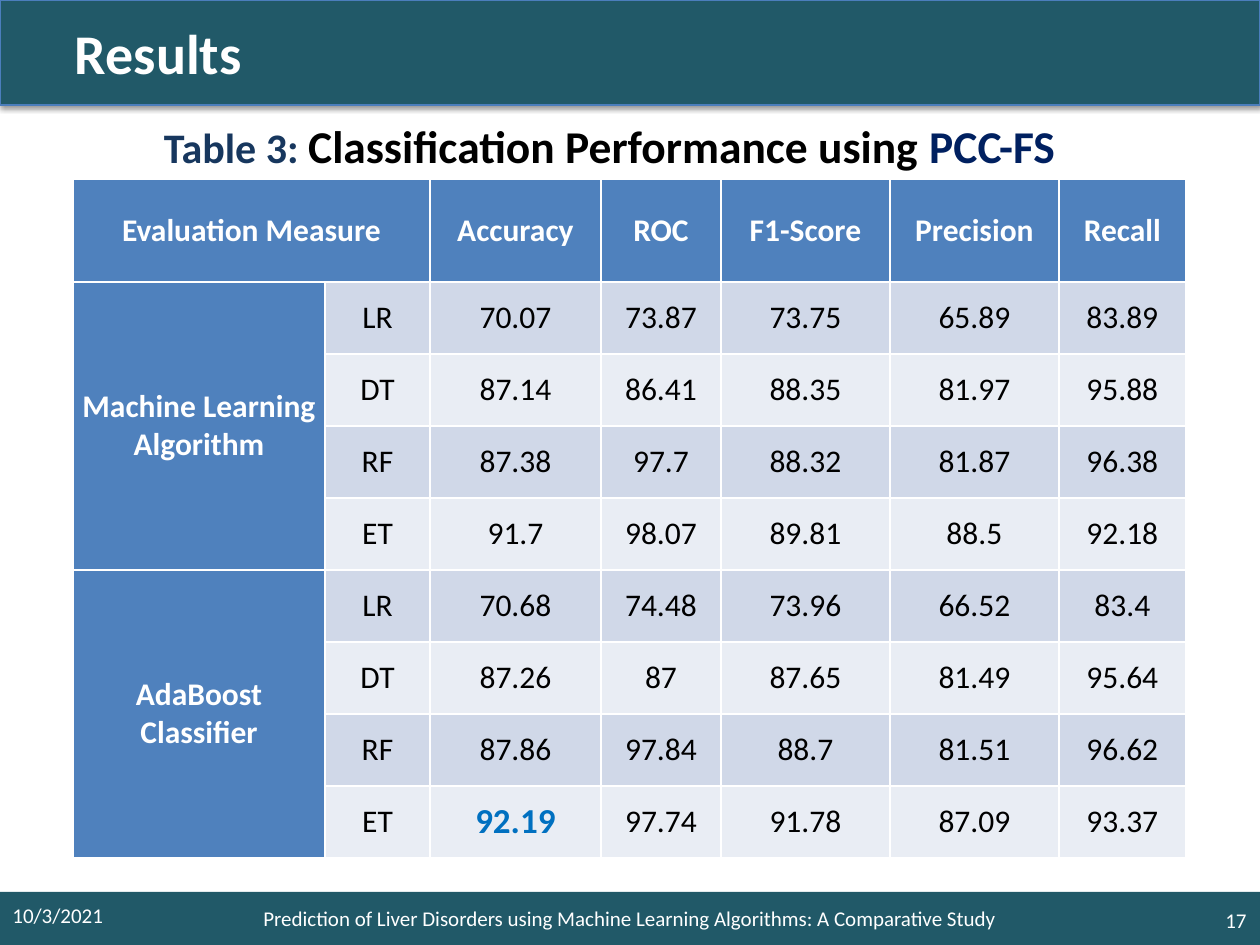
from lxml import etree
from pptx import Presentation, util as u
from pptx.dml.color import RGBColor
from pptx.enum import shapes, text
from pptx.oxml import ns

TEAL = RGBColor(0x21, 0x59, 0x68)
EDGE = RGBColor(0x4B, 0x7E, 0xBC)
BLUE = RGBColor(0x4F, 0x81, 0xBD)
BAND = RGBColor(0xD0, 0xD8, 0xE8)
PALE = RGBColor(0xE9, 0xED, 0xF4)
NAVY = RGBColor(0x17, 0x37, 0x5E)
DEEP = RGBColor(0x00, 0x20, 0x60)
BEST = RGBColor(0x00, 0x70, 0xC0)
WHITE = RGBColor(0xFF, 0xFF, 0xFF)
BLACK = RGBColor(0, 0, 0)

LEFT, CENTER, RIGHT = text.PP_ALIGN.LEFT, text.PP_ALIGN.CENTER, text.PP_ALIGN.RIGHT

HEADS = ["Accuracy", "ROC", "F1-Score", "Precision", "Recall"]
GROUPS = [
    ("Machine Learning Algorithm", [
        ("LR", "70.07", "73.87", "73.75", "65.89", "83.89"),
        ("DT", "87.14", "86.41", "88.35", "81.97", "95.88"),
        ("RF", "87.38", "97.7", "88.32", "81.87", "96.38"),
        ("ET", "91.7", "98.07", "89.81", "88.5", "92.18")]),
    ("AdaBoost Classifier", [
        ("LR", "70.68", "74.48", "73.96", "66.52", "83.4"),
        ("DT", "87.26", "87", "87.65", "81.49", "95.64"),
        ("RF", "87.86", "97.84", "88.7", "81.51", "96.62"),
        ("ET", "92.19", "97.74", "91.78", "87.09", "93.37")]),
]
TOP_SCORE = "92.19"
COLS = [252, 105, 171, 120, 169, 169, 127]
HEAD_ROW, BODY_ROW = 103, 72


def px(n):
    return u.Emu(round(n * 914400 / 126))


def write(frame, words, size=12, color=WHITE, bold=False, align=LEFT):
    """Append a run to the frame's first paragraph."""
    para = frame.paragraphs[0]
    para.alignment = align
    run = para.add_run()
    run.text = words
    font = run.font
    font.name, font.size, font.bold = "Calibri", u.Pt(size), bold
    font.color.rgb = color


def label(slide, box, anchor=text.MSO_ANCHOR.MIDDLE):
    """Add a wrapping text box and return its frame."""
    frame = slide.shapes.add_textbox(*map(px, box)).text_frame
    frame.word_wrap = True
    frame.vertical_anchor = anchor
    return frame


def bar(slide, box):
    shape = slide.shapes.add_shape(shapes.MSO_SHAPE.RECTANGLE, *map(px, box))
    shape.shadow.inherit = False
    shape.fill.solid()
    shape.fill.fore_color.rgb = TEAL
    shape.line.fill.background()
    shape.text_frame.vertical_anchor = text.MSO_ANCHOR.MIDDLE
    return shape


def header(slide, box):
    shape = bar(slide, box)
    shape.line.color.rgb = EDGE
    shape.line.width = u.Pt(0.75)
    effects = shape._element.spPr.find(ns.qn("a:effectLst"))
    shade = etree.SubElement(effects, ns.qn("a:outerShdw"), blurRad=str(u.Pt(3.1)),
                             dist=str(u.Pt(1.6)), dir="5400000", rotWithShape="0")
    tone = etree.SubElement(shade, ns.qn("a:srgbClr"), val="000000")
    etree.SubElement(tone, ns.qn("a:alpha"), val="38000")
    shape.text_frame.margin_left = px(75)
    write(shape.text_frame, "Results", size=32, bold=True)


def footer(slide, box):
    x, y, w, h = box
    strip = bar(slide, box)
    write(strip.text_frame, "Prediction of Liver Disorders using Machine Learning "
          "Algorithms: A Comparative Study", align=CENTER)
    write(label(slide, (x, y - 2, 147, 50)), "10/3/2021")
    write(label(slide, (x + w - 54, y + 3, 53, 50)), "17", align=RIGHT)


def caption(slide, box):
    frame = label(slide, box, text.MSO_ANCHOR.TOP)
    frame.margin_left, frame.margin_top = px(70), px(10)
    write(frame, "Table 3: ", size=24, color=NAVY, bold=True)
    write(frame, "Classification Performance using ", size=26, color=BLACK, bold=True)
    write(frame, "PCC-FS", size=26, color=DEEP, bold=True)


def cell(grid, row, col, words, fill, **form):
    spot = grid.cell(row, col)
    spot.fill.solid()
    spot.fill.fore_color.rgb = fill
    spot.vertical_anchor = text.MSO_ANCHOR.MIDDLE
    spot.margin_left = spot.margin_right = px(9)
    spot.margin_top = spot.margin_bottom = 0
    write(spot.text_frame, words, align=CENTER, **form)


def scores(slide, x, y):
    """Add the table of measures; rows are grouped by kind of classifier."""
    count = sum(len(rows) for _, rows in GROUPS)
    grid = slide.shapes.add_table(
        count + 1, len(COLS), px(x), px(y), px(sum(COLS)),
        px(HEAD_ROW + count * BODY_ROW)).table
    for col, width in zip(grid.columns, COLS):
        col.width = px(width)
    for i, row in enumerate(grid.rows):
        row.height = px(BODY_ROW if i else HEAD_ROW)

    strong = dict(size=18, bold=True)
    grid.cell(0, 0).merge(grid.cell(0, 1))
    cell(grid, 0, 0, "Evaluation Measure", BLUE, **strong)
    for c, head in enumerate(HEADS, 2):
        cell(grid, 0, c, head, BLUE, **strong)

    r = 1
    for name, rows in GROUPS:
        grid.cell(r, 0).merge(grid.cell(r + len(rows) - 1, 0))
        cell(grid, r, 0, name, BLUE, **strong)
        for values in rows:
            for c, value in enumerate(values, 1):
                best = value == TOP_SCORE
                cell(grid, r, c, value, BAND if r % 2 else PALE, bold=best,
                     size=20 if best else 18, color=BEST if best else BLACK)
            r += 1


def main():
    deck = Presentation()
    deck.slide_width, deck.slide_height = px(1260), px(945)
    slide = deck.slides.add_slide(deck.slide_layouts[6])
    header(slide, (0, 0, 1260, 105))
    footer(slide, (0, 892, 1260, 53))
    caption(slide, (94, 108, 1092, 774))
    scores(slide, 73, 179)
    deck.save("out.pptx")


if __name__ == "__main__":
    main()
